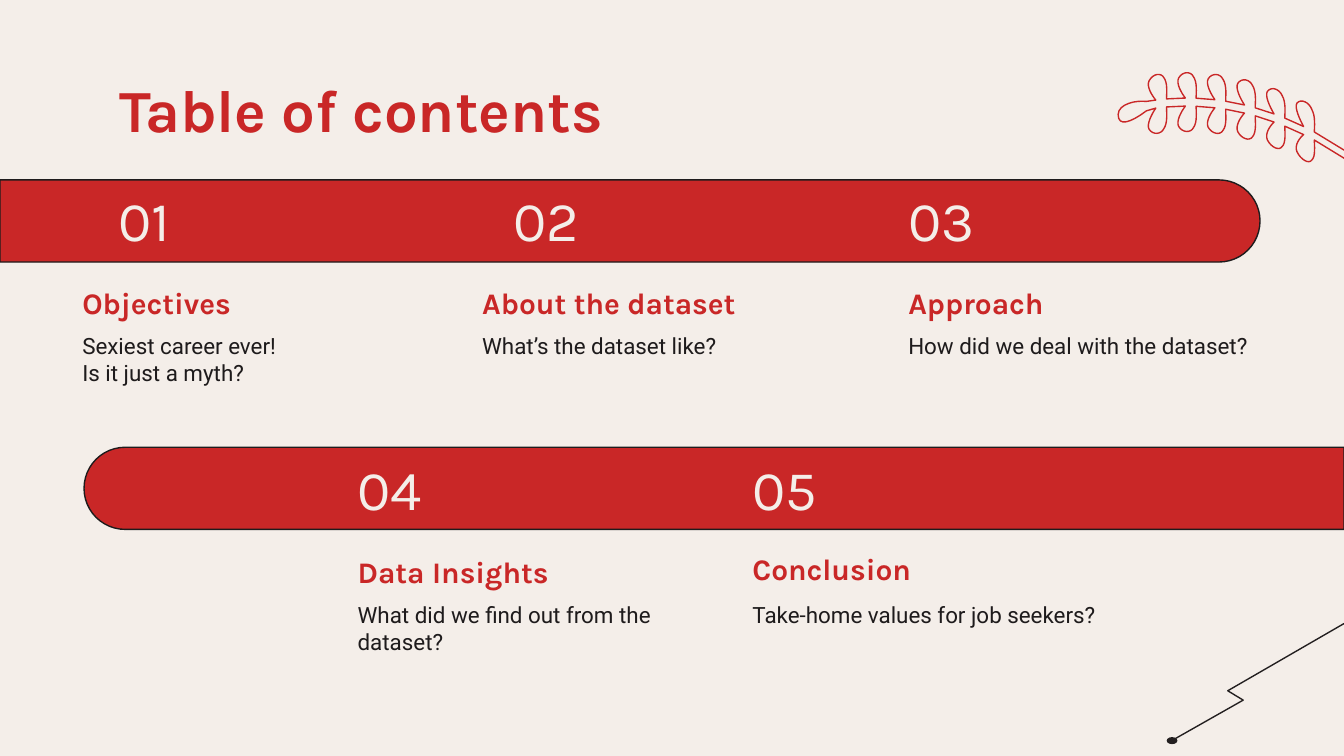
from dataclasses import dataclass

from pptx import Presentation
from pptx.dml.color import RGBColor
from pptx.enum.shapes import MSO_SHAPE as Preset
from pptx.enum.text import MSO_ANCHOR as Anchor
from pptx.util import Pt


@dataclass(frozen=True)
class Theme:
    cream: RGBColor = RGBColor.from_string("F4EEE9")
    red: RGBColor = RGBColor.from_string("C92727")
    ink: RGBColor = RGBColor.from_string("1E1B1C")
    spark: RGBColor = RGBColor.from_string("231F20")
    display_font: str = "Karla"
    body_font: str = "Roboto"
    title_size: int = 32
    number_size: int = 30
    heading_size: int = 16
    body_size: int = 12
    line_width: float = 0.75


@dataclass(frozen=True)
class Entry:
    heading: str
    lines: list
    left: float
    text_width: float = 184
    lift: float = 0


THEME = Theme()
GRID = Pt(0.72)  # drawing unit of the ornaments
ROW_STEP = 144
COLUMN_STEP = 211.6

# Left of the first number in a row, and the row's entries
ROWS = [
    (56.2, [
        Entry("Objectives", ["Sexiest career ever!", "Is it just a myth?"], 37),
        Entry("About the dataset", ["What’s the dataset like?"], 251.2),
        Entry("Approach", ["How did we deal with the dataset?"], 479.5, text_width=222),
    ]),
    (184.5, [
        Entry("Data Insights", ["What did we find out from the dataset?"], 184.5),
        Entry("Conclusion", ["Take-home values for job seekers?"], 396, text_width=207, lift=1.6),
    ]),
]


def style_shape(shape, fill, line):
    shape.shadow.inherit = False
    if fill is None:
        shape.fill.background()
    else:
        shape.fill.solid()
        shape.fill.fore_color.rgb = fill
    shape.line.color.rgb = line
    shape.line.width = Pt(THEME.line_width)


def add_text(slide, lines, left, top, width, height, *, size, color,
             font=THEME.display_font, bold=False, anchor=Anchor.BOTTOM, inset=0):
    """Add a text box with one paragraph per line; inset is above and below."""
    frame = slide.shapes.add_textbox(Pt(left), Pt(top), Pt(width), Pt(height)).text_frame
    frame.word_wrap = True
    frame.vertical_anchor = anchor
    frame.margin_left = frame.margin_right = Pt(7.2)
    frame.margin_top = frame.margin_bottom = Pt(inset)
    frame.text = "\n".join(lines)
    for paragraph in frame.paragraphs:
        for run in paragraph.runs:
            run.font.name = font
            run.font.size = Pt(size)
            run.font.bold = bold
            run.font.color.rgb = color


def add_outline(slide, points, *, line, fill=None, close=False):
    scaled = [(x * GRID, y * GRID) for x, y in points]
    builder = slide.shapes.build_freeform(*scaled[0], scale=1.0)
    builder.add_line_segments(scaled[1:], close=close)
    style_shape(builder.convert_to_shape(), fill, line)


def curve_points(knots, steps=8):
    """Return points along cubic curves: a start, then two controls and an end each."""
    points = [knots[0]]
    for first in range(0, len(knots) - 1, 3):
        for step in range(1, steps + 1):
            t = step / steps
            weights = ((1 - t) ** 3, 3 * t * (1 - t) ** 2, 3 * t * t * (1 - t), t ** 3)
            points.append(tuple(
                sum(weight * knot[axis] for weight, knot in zip(weights, knots[first:]))
                for axis in (0, 1)))
    return points


def branch_points():
    """Outline a bent stem with an end leaf and equal leaf pairs."""
    leaf = curve_points([(-4, -3), (-7, -7), (-11, -14), (-9, -18), (-6, -23),
                         (0, -23), (2, -19), (5, -15), (4, -7), (4, -3)])
    end_leaf = curve_points([(853, 4), (841, 11), (832, 11), (832, 2),
                             (832, -6), (846, -5), (853, -3)])
    nodes = range(864, 975, 22)
    upper = [(node + x, y) for node in nodes for x, y in leaf]
    lower = [(x, -y) for x, y in upper]
    flat = end_leaf + upper + [(1006, -3), (1006, 3)] + lower[::-1]
    return [(x, y + 76 + 0.0028 * (x - 883) ** 2) for x, y in flat]


def add_bar(slide, center_x, center_y, rotation):
    """Add a long bar with one round end, turned onto its side."""
    thickness, length = 44, 675
    bar = slide.shapes.add_shape(
        Preset.ROUND_2_SAME_RECTANGLE, Pt(center_x - thickness / 2),
        Pt(center_y - length / 2), Pt(thickness), Pt(length))
    bar.adjustments[0] = 0.5
    bar.adjustments[1] = 0
    bar.rotation = rotation
    style_shape(bar, THEME.red, THEME.ink)


def add_ornaments(slide):
    add_outline(slide, branch_points(), line=THEME.red, fill=THEME.cream, close=True)
    add_outline(slide, [(1000, 464), (913.5, 514), (925, 521), (872, 551)], line=THEME.spark)
    dot = slide.shapes.add_shape(Preset.OVAL, Pt(625.4), Pt(395.3), Pt(5), Pt(3))
    style_shape(dot, THEME.spark, THEME.spark)


def add_entry(slide, entry, number, number_left, shift):
    add_text(slide, [f"{number:02}"], number_left, 100.8 + shift, 100, 34.5,
             size=THEME.number_size, color=THEME.cream)
    add_text(slide, [entry.heading], entry.left, 141.8 + shift - entry.lift, 184, 30,
             size=THEME.heading_size, color=THEME.red, bold=True)
    add_text(slide, entry.lines, entry.left, 170.8 + shift, entry.text_width, 46,
             size=THEME.body_size, color=THEME.ink, font=THEME.body_font,
             anchor=Anchor.TOP, inset=7.2)


def add_entries(slide):
    number = 0
    for row, (first_left, entries) in enumerate(ROWS):
        for column, entry in enumerate(entries):
            number += 1
            add_entry(slide, entry, number, first_left + column * COLUMN_STEP, row * ROW_STEP)


def main():
    presentation = Presentation()
    presentation.slide_width, presentation.slide_height = Pt(720), Pt(405)
    slide = presentation.slides.add_slide(presentation.slide_layouts[6])
    slide.background.fill.solid()
    slide.background.fill.fore_color.rgb = THEME.cream

    add_ornaments(slide)
    add_bar(slide, 337.5, 118.4, 90)
    add_bar(slide, 382.5, 261.6, 270)
    add_text(slide, ["Table of contents"], 56.7, 35.3, 607, 45.4,
             size=THEME.title_size, color=THEME.red, bold=True,
             anchor=Anchor.MIDDLE, inset=7.2)
    add_entries(slide)
    presentation.save("out.pptx")


if __name__ == "__main__":
    main()
